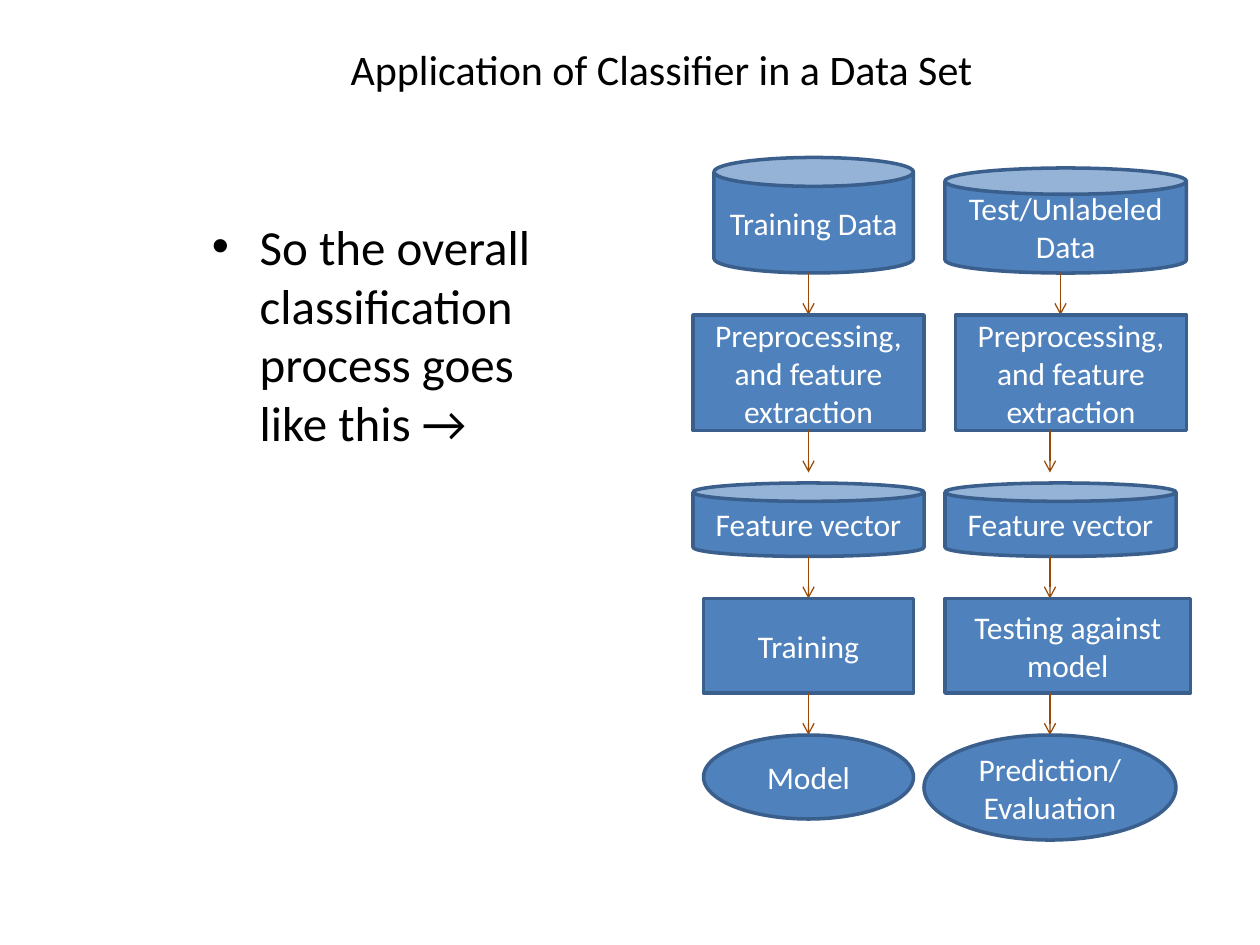
from lxml import etree
from pptx import Presentation
from pptx.dml.color import RGBColor
from pptx.enum.shapes import MSO_CONNECTOR, MSO_SHAPE
from pptx.enum.text import MSO_ANCHOR, PP_ALIGN
from pptx.oxml.ns import qn
from pptx.util import Inches, Pt

CAN, RECT, OVAL = MSO_SHAPE.CAN, MSO_SHAPE.RECTANGLE, MSO_SHAPE.OVAL
STRAIGHT = MSO_CONNECTOR.STRAIGHT
MIDDLE, CENTER = MSO_ANCHOR.MIDDLE, PP_ALIGN.CENTER

FONT = "Calibri"
COLORS = {"text": "000000", "label": "FFFFFF", "fill": "4F81BD",
          "outline": "3A5F8C", "arrow": "984807"}
CELLS_PER_INCH = 12
ARROW_ROWS = 4

# Each stage: shape, left, top, columns, rows, label, column of the arrow below it
TRAINING = [
    (CAN, 2, 0, 19, 11, "Training Data", 11),
    (RECT, 0, 15, 22, 11, "Preprocessing, and feature extraction", 11),
    (CAN, 0, 31, 22, 7, "Feature vector", 11),
    (RECT, 1, 42, 20, 9, "Training", 11),
    (OVAL, 1, 55, 20, 8, "Model", None),
]
TESTING = [
    (CAN, 2, 1, 23, 10, "Test/Unlabeled Data", 13),
    (RECT, 3, 15, 22, 11, "Preprocessing, and feature extraction", 12),
    (CAN, 2, 31, 22, 7, "Feature vector", 12),
    (RECT, 2, 42, 23.4, 9, "Testing against model", 12),
    (OVAL, 0, 55, 24, 10, "Prediction/Evaluation", None),
]


def cells(n):
    return Inches(n / CELLS_PER_INCH)


def rgb(name):
    return RGBColor.from_string(COLORS[name])


def add_run(p, text, size, color):
    r = p.add_run()
    r.text = text
    r.font.name = FONT
    r.font.size = Pt(size)
    r.font.color.rgb = rgb(color)


def place_title(s, left, top, width, height):
    sp = s.shapes.title
    sp.left, sp.top, sp.width, sp.height = map(cells, (left, top, width, height))
    tf = sp.text_frame
    tf.vertical_anchor = MIDDLE
    p = tf.paragraphs[0]
    p.alignment = CENTER
    add_run(p, "Application of Classifier in a Data Set", 24, "text")


def add_body(s, left, top, width, height):
    sp = s.shapes.add_textbox(*map(cells, (left, top, width, height)))
    tf = sp.text_frame
    tf.word_wrap = True
    p = tf.paragraphs[0]
    pPr = p._p.get_or_add_pPr()
    indent = Inches(0.38)
    pPr.set("marL", str(indent))
    pPr.set("indent", str(-indent))
    etree.SubElement(pPr, qn("a:buFont"), typeface="Arial")
    etree.SubElement(pPr, qn("a:buChar"), char="•")
    add_run(p, "So the overall classification process goes like this →", 28, "text")


def add_stage(s, kind, left, top, width, height, label):
    sp = s.shapes.add_shape(kind, *map(cells, (left, top, width, height)))
    sp.shadow.inherit = False
    sp.fill.solid()
    sp.fill.fore_color.rgb = rgb("fill")
    sp.line.color.rgb = rgb("outline")
    sp.line.width = Pt(2)
    tf = sp.text_frame
    tf.word_wrap = True
    tf.vertical_anchor = MIDDLE
    p = tf.paragraphs[0]
    p.alignment = CENTER
    add_run(p, label, 18, "label")


def add_arrow(s, x, top):
    sp = s.shapes.add_connector(STRAIGHT, cells(x), cells(top),
                                cells(x), cells(top + ARROW_ROWS))
    sp.line.color.rgb = rgb("arrow")
    sp.line.width = Pt(0.75)
    etree.SubElement(sp.line._get_or_add_ln(), qn("a:tailEnd"), type="arrow")
    etree.SubElement(sp._element.spPr, qn("a:effectLst"))


def add_pipeline(s, left, top, stages):
    """Draw stages downwards, each joined to the next by an arrow."""
    for kind, col, row, width, height, label, arrow_col in stages:
        add_stage(s, kind, left + col, top + row, width, height, label)
        if arrow_col is not None:
            add_arrow(s, left + arrow_col, top + row + height)


def main():
    prs = Presentation()
    prs.slide_width, prs.slide_height = Inches(10), Inches(7.5)
    s = prs.slides.add_slide(prs.slide_layouts[5])
    place_title(s, 19, 4, 88, 5)
    add_body(s, 19, 20, 35, 27)
    add_pipeline(s, 66, 15, TRAINING)
    add_pipeline(s, 88, 15, TESTING)
    prs.save("out.pptx")


if __name__ == "__main__":
    main()
